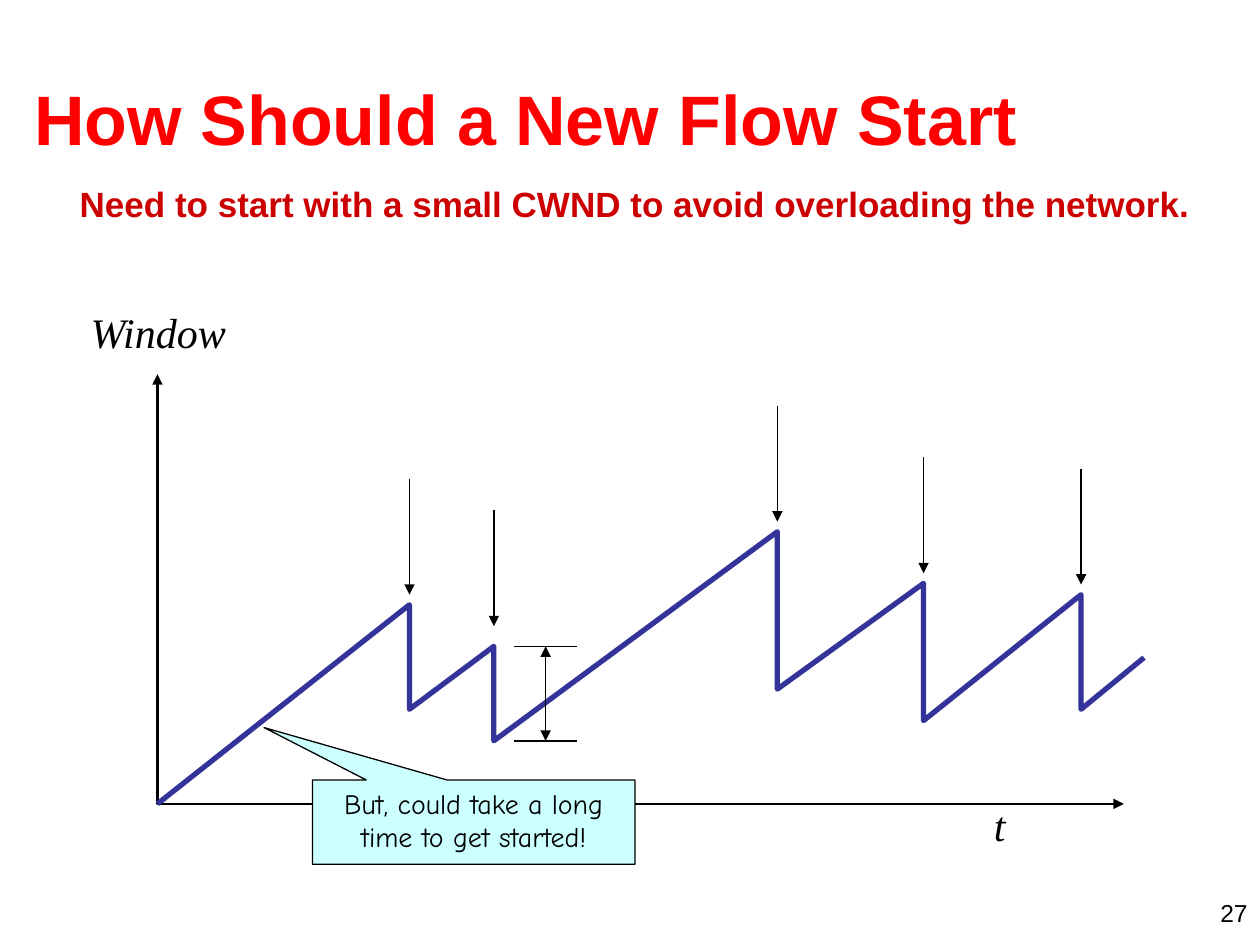
from lxml import etree
from pptx import Presentation
from pptx.dml.color import RGBColor
from pptx.enum.shapes import MSO_CONNECTOR, MSO_SHAPE
from pptx.enum.text import MSO_ANCHOR, MSO_AUTO_SIZE, PP_ALIGN
from pptx.oxml.ns import qn
from pptx.util import Inches, Pt

LINE = MSO_CONNECTOR.STRAIGHT
CALLOUT = MSO_SHAPE.RECTANGULAR_CALLOUT
TOP, MIDDLE = MSO_ANCHOR.TOP, MSO_ANCHOR.MIDDLE
FIT = MSO_AUTO_SIZE.SHAPE_TO_FIT_TEXT
LEFT, CENTER, RIGHT = PP_ALIGN.LEFT, PP_ALIGN.CENTER, PP_ALIGN.RIGHT

BLACK = "000000"
ARIAL, TIMES, COMIC = "Arial", "Times New Roman", "Comic Neue"

TITLE = "How Should a New Flow Start"
NOTE = "But, could take a long time to get started!"
LABELS = [
    ("t", (7.79, 6.3, 0.29, 0.5), LEFT, dict(size=24, face=TIMES, italic=True)),
    ("Window", (0.62, 2.38, 1.29, 0.5), LEFT,
     dict(size=24, face=TIMES, italic=True)),
    ("Need to start with a small CWND to avoid overloading the network.",
     (0.49, 1.4, 9.1, 0.44), CENTER,
     dict(size=20, face=ARIAL, color="CC0000", bold=True)),
]
PAGE = ("27", (7.67, 7.08, 2.33, 0.25), RIGHT, dict(size=14, face=ARIAL))

AXES = [(1.25, 2.97), (1.25, 6.38), (8.92, 6.38)]
START, END = (1.25, 6.38), (9.08, 5.22)
DROPS = [(3.25, 4.8, 5.63), (3.92, 5.13, 5.88), (6.17, 4.22, 5.47),
         (7.33, 4.63, 5.72), (8.58, 4.72, 5.63)]
TAILS = [3.8, 4.05, 3.22, 3.63, 3.72]
REACH = 0.92
MID, HALF = 4.33, 0.25


def rgb(color):
    return RGBColor.from_string(color)


def place(shape, box):
    shape.left, shape.top, shape.width, shape.height = map(Inches, box)


def write(shape, text, align, size, face, color=BLACK, bold=False,
          italic=False, anchor=TOP, wrap=True):
    frame = shape.text_frame
    frame.word_wrap = wrap
    frame.vertical_anchor = anchor
    para = frame.paragraphs[0]
    para.alignment = align
    run = para.add_run()
    run.text = text
    font = run.font
    font.size, font.name = Pt(size), face
    font.bold, font.italic = bold, italic
    font.color.rgb = rgb(color)


def stroke(shape, width, color=BLACK, ends=()):
    line = shape.line
    line.color.rgb = rgb(color)
    line.width = Pt(width)
    node = shape._element.spPr.find(qn("a:ln"))
    for end in ends:
        etree.SubElement(node, qn("a:" + end), type="triangle")


def label(slide, text, box, align, style, wrap=False):
    shape = slide.shapes.add_textbox(*map(Inches, box))
    write(shape, text, align, wrap=wrap, **style)
    if not wrap:
        shape.text_frame.auto_size = FIT


def trace(slide, points, width, color=BLACK, ends=()):
    pts = [(Inches(x), Inches(y)) for x, y in points]
    maker = slide.shapes.build_freeform(*pts[0])
    maker.add_line_segments(pts[1:], close=False)
    shape = maker.convert_to_shape()
    shape.fill.background()
    shape.shadow.inherit = False
    stroke(shape, width, color, ends)


def link(slide, x1, y1, x2, y2, ends=()):
    shape = slide.shapes.add_connector(LINE, *map(Inches, (x1, y1, x2, y2)))
    stroke(shape, 0.75, ends=ends)
    etree.SubElement(shape._element.spPr, qn("a:effectLst"))


def main():
    deck = Presentation()
    deck.slide_width, deck.slide_height = Inches(10), Inches(7.5)
    slide = deck.slides.add_slide(deck.slide_layouts[5])

    title = slide.shapes.title
    place(title, (0.17, 0.31, 9.58, 1.25))
    write(title, TITLE, LEFT, 40, ARIAL, "FF0000", bold=True, anchor=MIDDLE)
    label(slide, *PAGE, wrap=True)

    trace(slide, AXES, 1.5, ends=("headEnd", "tailEnd"))
    wave = [(x, y) for x, *pair in DROPS for y in pair]
    trace(slide, [START, *wave, END], 3, "333399")

    high, low = DROPS[1][1:]
    for y in (low, high):
        link(slide, MID - HALF, y, MID + HALF, y)
    link(slide, MID, high, MID, low, ("headEnd", "tailEnd"))
    for (x, *_), y in zip(DROPS, TAILS):
        link(slide, x, y, x, y + REACH, ("tailEnd",))

    note = slide.shapes.add_shape(CALLOUT, *map(Inches, (2.48, 6.19, 2.56, 0.67)))
    note.adjustments[0], note.adjustments[1] = -0.65, -1.12
    note.shadow.inherit = False
    note.fill.solid()
    note.fill.fore_color.rgb = rgb("CCFFFF")
    stroke(note, 0.75)
    write(note, NOTE, CENTER, 16, COMIC)

    for item in LABELS:
        label(slide, *item)
    deck.save("out.pptx")


if __name__ == "__main__":
    main()
